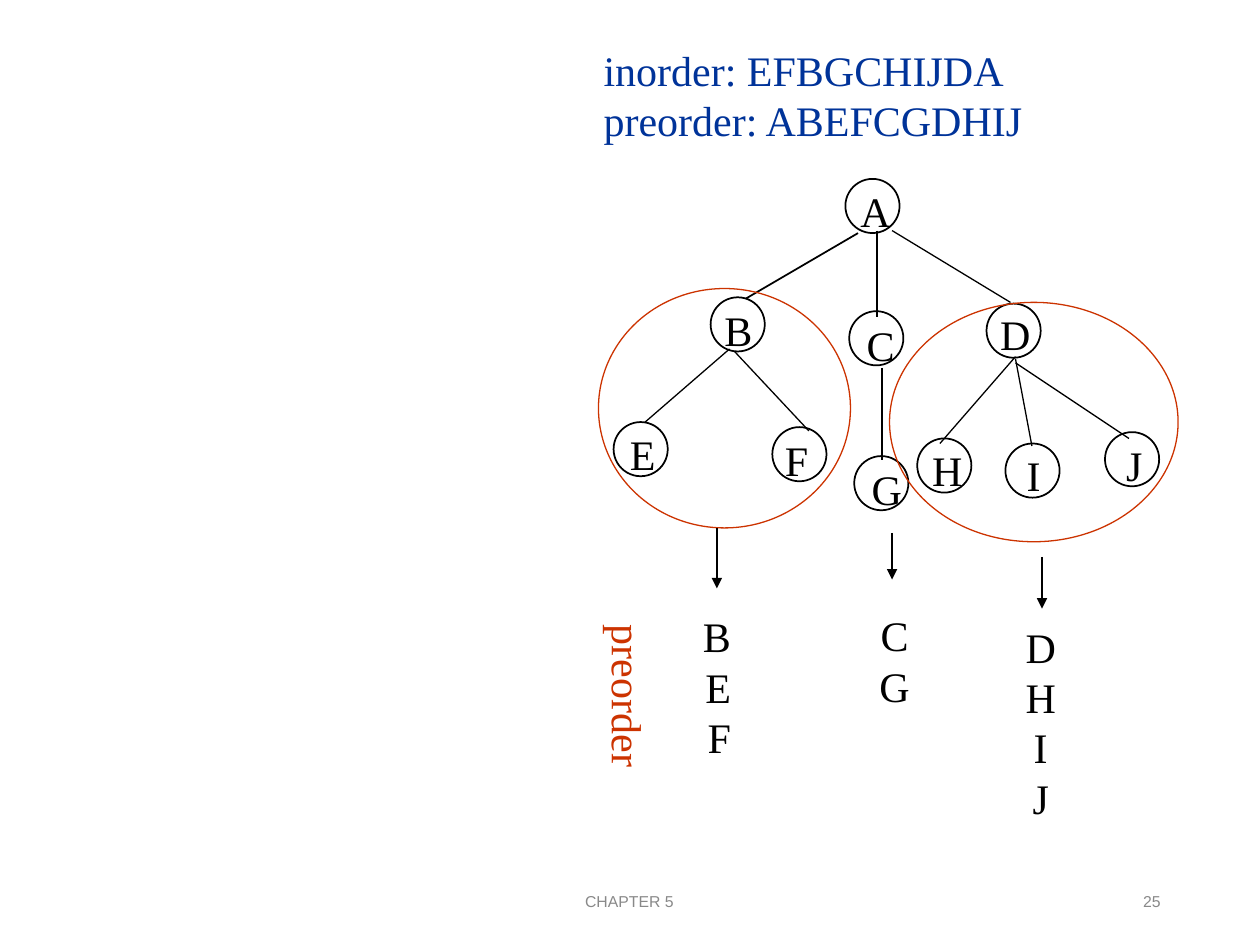
from lxml.etree import SubElement
from pptx import Presentation
from pptx.dml.color import RGBColor
from pptx.enum.shapes import MSO_CONNECTOR, MSO_SHAPE
from pptx.enum.text import MSO_ANCHOR, MSO_AUTO_SIZE, PP_ALIGN
from pptx.oxml.ns import qn
from pptx.util import Inches, Pt

BLACK = RGBColor(0x00, 0x00, 0x00)
NAVY = RGBColor(0x00, 0x33, 0x99)
RUST = RGBColor(0xCC, 0x33, 0x00)
GRAY = RGBColor(0x89, 0x89, 0x89)

COLUMNS, ROWS = 100, 75
NODE_SIZE = 4.3
LABEL_HEIGHT = 5

NODES = {
    "A": (67.1, 14.2, 67.3, 14.2, 4.4),
    "B": (56.4, 23.6, 56.5, 23.7, 4.2),
    "C": (67.4, 24.7, 67.8, 24.9, 4.2),
    "D": (78.3, 24.1, 78.4, 24.0, 4.4),
    "E": (48.7, 33.5, 49.0, 33.5, 4.1),
    "F": (61.3, 33.9, 61.3, 34.0, 3.9),
    "G": (67.8, 36.2, 68.2, 36.3, 4.4),
    "H": (72.8, 34.8, 73.0, 34.8, 4.4),
    "I": (79.8, 35.2, 80.5, 35.2, 3.1),
    "J": (87.7, 34.3, 88.4, 34.4, 3.3),
}
EDGES = {
    "AB": (68.1, 18.5, 59.2, 23.7),
    "AC": (69.6, 18.3, 69.6, 25.2),
    "AD": (70.8, 18.3, 80.2, 24.0),
    "BE": (57.9, 27.7, 51.2, 33.5),
    "BF": (58.3, 27.9, 64.2, 34.2),
    "CG": (70.0, 29.2, 70.0, 36.5),
    "DH": (80.6, 28.3, 74.6, 35.2),
    "DI": (80.6, 28.5, 81.9, 35.4),
    "DJ": (80.6, 28.8, 89.6, 34.8),
}
SUBTREES = [(47.5, 22.9, 20, 19), (70.6, 24, 22.9, 19)]
ARROWS = [(56.9, 41.9, 46.7), (70.8, 42.3, 46), (82.7, 44.2, 48.3)]
ORDERS = [
    ("BEF", (54.8, 48, 4.2, 13), PP_ALIGN.RIGHT),
    ("CG", (68.8, 47.9, 4.4, 9), PP_ALIGN.CENTER),
    ("DHIJ", (80.4, 48.8, 4.4, 17), PP_ALIGN.CENTER),
]


class TreePage:
    """Draw tree elements on one slide, with lengths in grid columns and rows."""

    serif, sans = "Times New Roman", "Arial"
    text_size, line_height, footer_size = Pt(24), Pt(28.8), Pt(9)

    def __init__(self, deck):
        self.column = deck.slide_width / COLUMNS
        self.row = deck.slide_height / ROWS
        self.page = deck.slides.add_slide(deck.slide_layouts[5])

    def grid(self, across, down, *more):
        lengths = [round(across * self.column), round(down * self.row)]
        return lengths + (self.grid(*more) if more else [])

    def fill_text(self, box, lines, color, align=PP_ALIGN.LEFT):
        frame = box.text_frame
        frame.text = "\n".join(lines)
        frame.word_wrap = False
        frame.auto_size = MSO_AUTO_SIZE.SHAPE_TO_FIT_TEXT
        frame.vertical_anchor = MSO_ANCHOR.TOP
        for para in frame.paragraphs:
            para.alignment = align
            para.line_spacing = self.line_height
            for span in para.runs:
                span.font.name = self.serif
                span.font.size = self.text_size
                span.font.color.rgb = color

    def title(self, lines, place):
        box = self.page.shapes.title
        box.left, box.top, box.width, box.height = self.grid(*place)
        self.fill_text(box, lines, NAVY)

    def text(self, lines, place, color=BLACK, align=PP_ALIGN.LEFT):
        box = self.page.shapes.add_textbox(*self.grid(*place))
        self.fill_text(box, lines, color, align)
        return box

    def vertical_text(self, line, place, color):
        box = self.text([line], place, color)
        box.element.txBody.bodyPr.set("vert", "eaVert")
        frame = box.text_frame
        frame.margin_left = frame.margin_right = Inches(0.05)
        frame.margin_top = frame.margin_bottom = Inches(0.1)

    def footer(self, line, place, align):
        box = self.page.shapes.add_textbox(*self.grid(*place))
        frame = box.text_frame
        frame.text = line
        frame.word_wrap = True
        frame.vertical_anchor = MSO_ANCHOR.MIDDLE
        para = frame.paragraphs[0]
        para.alignment = align
        font = para.runs[0].font
        font.name, font.size = self.sans, self.footer_size
        font.color.rgb = GRAY

    def ellipse(self, place, color=BLACK, weight=1):
        shape = self.page.shapes.add_shape(MSO_SHAPE.OVAL, *self.grid(*place))
        shape.shadow.inherit = False
        shape.fill.background()
        shape.line.color.rgb = color
        shape.line.width = Pt(weight)

    def node(self, letter, column, row, label_column, label_row, width):
        self.ellipse((column, row, NODE_SIZE, NODE_SIZE))
        self.text([letter], (label_column, label_row, width, LABEL_HEIGHT))

    def edge(self, ends, weight=0.75, arrow=False):
        line = self.page.shapes.add_connector(MSO_CONNECTOR.STRAIGHT, *self.grid(*ends))
        line.line.color.rgb = BLACK
        line.line.width = Pt(weight)
        properties = line.element.spPr
        if arrow:
            SubElement(properties.find(qn("a:ln")), qn("a:tailEnd"), type="triangle")
        SubElement(properties, qn("a:effectLst"))


def main():
    deck = Presentation()
    deck.slide_width, deck.slide_height = Inches(10), Inches(7.5)
    tree = TreePage(deck)
    tree.footer("CHAPTER 5", (33.1, 69.5, 33.7, 4), PP_ALIGN.CENTER)
    tree.footer("25", (70.6, 69.5, 22.5, 4), PP_ALIGN.RIGHT)
    tree.title(["inorder: EFBGCHIJDA", "preorder: ABEFCGDHIJ"], (46.9, 3, 35.4, 9))
    for letter, place in NODES.items():
        tree.node(letter, *place)
    for pair, ends in EDGES.items():
        tree.edge(ends, weight=1 if pair == "AB" else 0.75)
    for place in SUBTREES:
        tree.ellipse(place, RUST, 0.75)
    for column, top, bottom in ARROWS:
        tree.edge((column, top, column, bottom), arrow=True)
    for letters, place, align in ORDERS:
        tree.text(letters, place, align=align)
    tree.vertical_text("preorder", (46.4, 48.6, 6, 12.3), RUST)
    deck.save("out.pptx")


if __name__ == "__main__":
    main()
